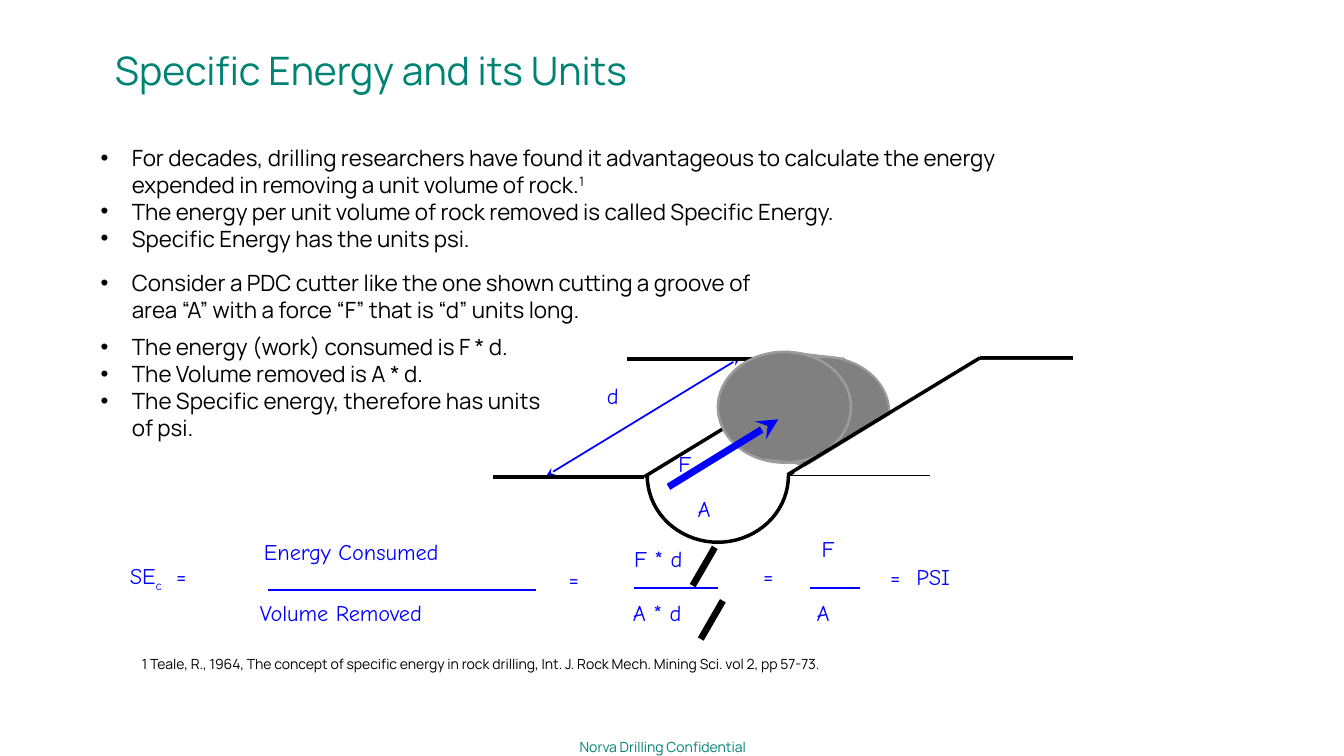
import math

import lxml.etree
import pptx
import pptx.dml.color
import pptx.enum.shapes
import pptx.enum.text
import pptx.oxml.ns
import pptx.util

Inches = pptx.util.Inches
Pt = pptx.util.Pt
RGBColor = pptx.dml.color.RGBColor
GREEN = RGBColor(0x01, 0x83, 0x74)
BLUE = RGBColor(0x00, 0x00, 0xFF)
BLACK = RGBColor(0x00, 0x00, 0x00)
WHITE = RGBColor(0xFF, 0xFF, 0xFF)
GRAY = RGBColor(0x80, 0x80, 0x80)
EDGE_GRAY = RGBColor(0x9C, 0x9C, 0x9C)
BODY_FONT = "Manrope"
FORMULA_FONT = "Comic Neue"


def add_xml(parent, tag, **attributes):
    """Append a DrawingML element with the given attributes."""
    child = lxml.etree.SubElement(parent, pptx.oxml.ns.qn(tag))
    for name, value in attributes.items():
        child.set(name, str(value))
    return child


def add_text(page, box, paragraphs, size, color, font=BODY_FONT, bullet=False, tab=None, inset=None):
    """Place paragraphs, each a list of (text, baseline percent) runs."""
    shape = page.shapes.add_textbox(*[Inches(value) for value in box])
    frame = shape.text_frame
    frame.word_wrap = True
    frame.auto_size = pptx.enum.text.MSO_AUTO_SIZE.SHAPE_TO_FIT_TEXT
    if inset is not None:
        frame.margin_left = frame.margin_right = Inches(inset)
        frame.margin_top = frame.margin_bottom = Inches(inset)
    for index, runs in enumerate(paragraphs):
        para = frame.paragraphs[0] if index == 0 else frame.add_paragraph()
        properties = para._p.get_or_add_pPr()
        if bullet:
            properties.set("marL", str(Inches(0.31)))
            properties.set("indent", str(-Inches(0.31)))
            add_xml(properties, "a:buFont", typeface="Arial")
            add_xml(properties, "a:buChar", char="•")
        if tab is not None:
            stops = add_xml(properties, "a:tabLst")
            add_xml(stops, "a:tab", pos=Inches(tab), algn="l")
        for text, baseline in runs:
            span = para.add_run()
            span.text = text
            span.font.size = Pt(size)
            span.font.name = font
            span.font.color.rgb = color
            if baseline:
                span._r.get_or_add_rPr().set("baseline", str(baseline * 1000))
    return frame


def add_line(page, origin, start, end, color, width, arrows=()):
    """Draw a line between two points measured from the origin."""
    points = [Inches(base + offset) for point in (start, end) for base, offset in zip(origin, point)]
    line = page.shapes.add_connector(pptx.enum.shapes.MSO_CONNECTOR.STRAIGHT, *points)
    line.line.color.rgb = color
    line.line.width = Pt(width)
    for end_tag in arrows:
        add_xml(line.line._get_or_add_ln(), end_tag, type="stealth")
    add_xml(line._element.spPr, "a:effectLst")


def add_outline(page, origin, points, closed):
    """Build a shadowless freeform through points measured from the origin."""
    places = [(Inches(origin[0] + x), Inches(origin[1] + y)) for x, y in points]
    builder = page.shapes.build_freeform(*places[0])
    builder.add_line_segments(places[1:], close=closed)
    outline = builder.convert_to_shape()
    outline.shadow.inherit = False
    return outline


def add_label(page, origin, x, y, width, runs, tab=None):
    """Write one blue formula label at an offset from the origin."""
    box = (origin[0] + x, origin[1] + y, width, 0.37)
    add_text(page, box, [runs], 16, BLUE, FORMULA_FONT, tab=tab)


def add_heading(page, box):
    """Write the slide title."""
    frame = add_text(page, box, [[("Specific Energy and its Units", 0)]], 28, GREEN, inset=0)
    frame.vertical_anchor = pptx.enum.text.MSO_ANCHOR.MIDDLE
    frame.paragraphs[0].line_spacing = 0.9


def add_bullets(page, left, top):
    """Write the three groups of bullets down the left side."""
    groups = [
        (0, 9.2, 1.18, [
            [("For decades, drilling researchers have found it advantageous to calculate "
              "the energy expended in removing a unit volume of rock.", 0), ("1", 30)],
            [("The energy per unit volume of rock removed is called Specific Energy.", 0)],
            [("Specific Energy has the units psi.", 0)],
        ]),
        (1.24, 6.87, 0.64, [
            [("Consider a PDC cutter like the one shown cutting a groove of area “A” "
              "with a force “F” that is “d” units long.", 0)],
        ]),
        (1.88, 4.69, 1.18, [
            [("The energy (work) consumed is F * d.", 0)],
            [("The Volume removed is A * d.", 0)],
            [("The Specific energy, therefore has units of psi.", 0)],
        ]),
    ]
    for offset, width, height, paragraphs in groups:
        add_text(page, (left, top + offset, width, height), paragraphs, 16, BLACK, bullet=True)


def add_equation(page, origin):
    """Write the specific energy equation and strike out the common term."""
    add_label(page, origin, 0, 0.27, 1.33, [("SE", 0), ("c", -25), ("\t=", 0)], tab=0.46)
    add_label(page, origin, 7.54, 0.28, 1.33, [("=\tPSI", 0)], tab=0.26)
    labels = [
        (1.33, 0.03, 3.07, "Energy Consumed"), (1.29, 0.63, 3.04, "Volume Removed"),
        (4.35, 0.3, 0.49, "="), (5, 0.1, 1.03, "F * d"), (4.99, 0.63, 1.14, "A * d"),
        (6.28, 0.27, 0.75, "="), (6.86, 0, 0.5, "F"), (6.81, 0.63, 0.58, "A"),
    ]
    for x, y, width, text in labels:
        add_label(page, origin, x, y, width, [(text, 0)])
    for start, end, y in [(1.47, 4.13, 0.59), (5.1, 5.93, 0.57), (6.84, 7.34, 0.57)]:
        add_line(page, origin, (start, y), (end, y), BLUE, 1.5)
    for x, y in [(5.9, 0.17), (5.98, 0.7)]:
        add_line(page, origin, (x, y), (x - 0.22, y + 0.38), BLACK, 4.75)


def add_cutter(page, origin):
    """Draw the cylindrical cutter as two discs joined by edges."""
    for x, y, width in [(2.61, 0.05, 1.5), (2.23, 0, 1.75)]:
        disc = page.shapes.add_shape(
            pptx.enum.shapes.MSO_SHAPE.OVAL,
            Inches(origin[0] + x), Inches(origin[1] + y), Inches(1.32), Inches(1.1))
        disc.shadow.inherit = False
        disc.fill.solid()
        disc.fill.fore_color.rgb = GRAY
        disc.line.color.rgb = EDGE_GRAY
        disc.line.width = Pt(width)
    for x, y in [(2.71, 1.07), (2.91, 0)]:
        add_line(page, origin, (x + 0.58, y + 0.07), (x, y), EDGE_GRAY, 1.5)


def add_groove_diagram(page, origin):
    """Draw the cutter ploughing a groove, with its force, area and length."""
    add_line(page, origin, (0.53, 1.23), (2.45, 0.06), BLUE, 1.25, ("a:headEnd", "a:tailEnd"))
    near_left, far_left = (1.5, 1.24), (3.42, 0.07)
    near_right, far_right = (2.92, 1.22), (4.83, 0.06)
    for start, end in [(near_left, far_left), (near_left, (0, 1.24)),
                       (far_left, (1.33, 0.07)), (far_right, (5.75, 0.06))]:
        add_line(page, origin, start, end, BLACK, 2.5)
    add_cutter(page, origin)

    angles = [math.pi * step / 36 for step in range(37)]
    arc = [(2.23 - 0.7 * math.cos(angle), 1.23 + 0.66 * math.sin(angle)) for angle in angles]
    groove = add_outline(page, origin, arc, False)
    groove.fill.background()
    groove.line.color.rgb = BLACK
    groove.line.width = Pt(2.5)

    add_line(page, origin, near_right, (4.33, 1.22), BLACK, 2.5)
    surface = add_outline(page, origin, [(4.37, 1.22), (2.97, 1.22), (4.83, 0.08), (5.74, 0.08)], True)
    surface.fill.solid()
    surface.fill.fore_color.rgb = WHITE
    surface.line.fill.background()
    add_line(page, origin, near_right, far_right, BLACK, 2.5)

    for x, y, width, text in [(1.03, 0.25, 0.61, "d"), (1.93, 1.37, 0.58, "A"), (1.74, 0.93, 0.5, "F")]:
        add_label(page, origin, x, y, width, [(text, 0)])
    add_line(page, origin, (1.74, 1.34), (2.83, 0.67), BLUE, 5, ("a:tailEnd",))


def add_notes_at_foot(page, left, top):
    """Write the reference and the confidentiality line."""
    reference = ("1 Teale, R., 1964, The concept of specific energy in rock drilling, "
                 "Int. J. Rock Mech. Mining Sci. vol 2, pp 57-73.")
    add_text(page, (left, top, 8.09, 0.28), [[(reference, 0)]], 10, BLACK)
    footer = (left + 4.44, top + 0.88, 1.87, 0.17)
    add_text(page, footer, [[("Norva Drilling Confidential", 0)]], 10, GREEN, inset=0)


def main():
    """Build the slide and save the deck."""
    deck = pptx.Presentation()
    deck.slide_width = Inches(13.33)
    deck.slide_height = Inches(7.5)
    page = deck.slides.add_slide(deck.slide_layouts[6])
    add_heading(page, (1.14, 0.5, 9.29, 0.44))
    add_bullets(page, 0.9, 1.38)
    add_groove_diagram(page, (4.89, 3.49))
    add_equation(page, (1.19, 5.26))
    add_notes_at_foot(page, 1.31, 6.45)
    deck.save("out.pptx")


if __name__ == "__main__":
    main()
